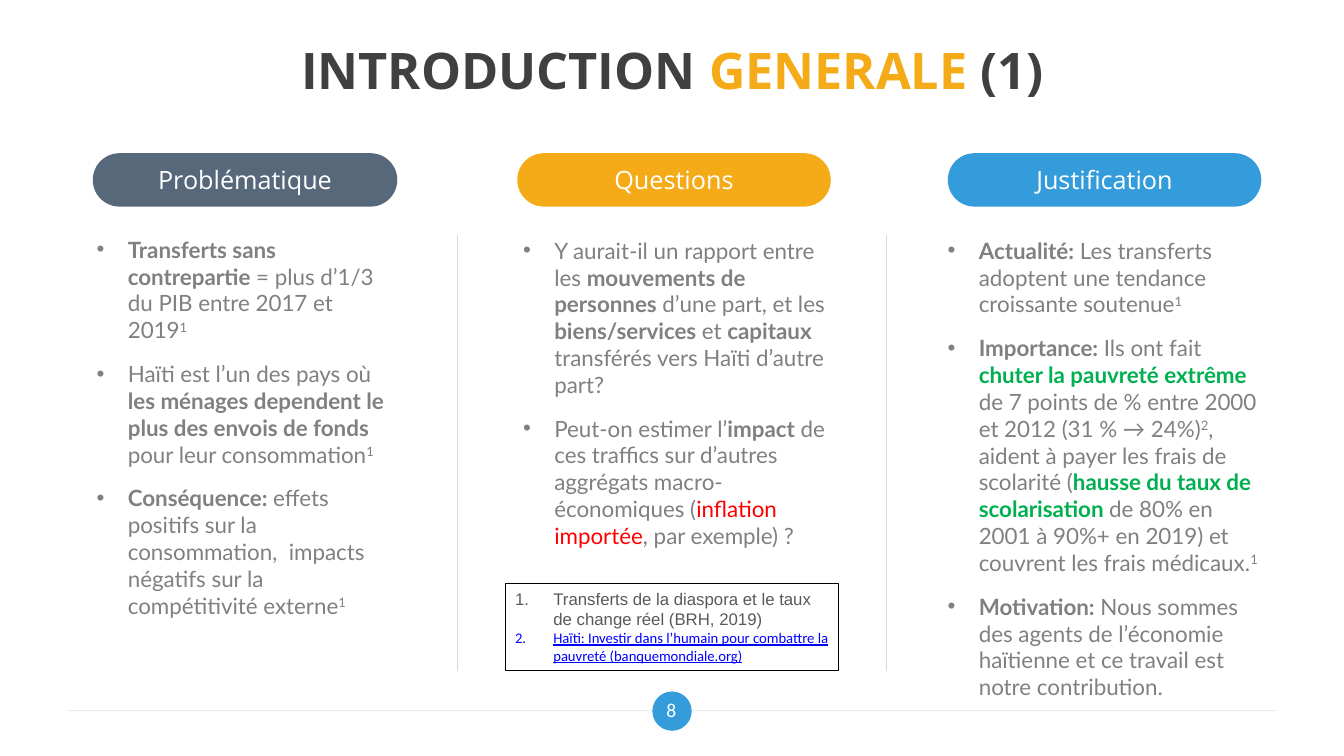
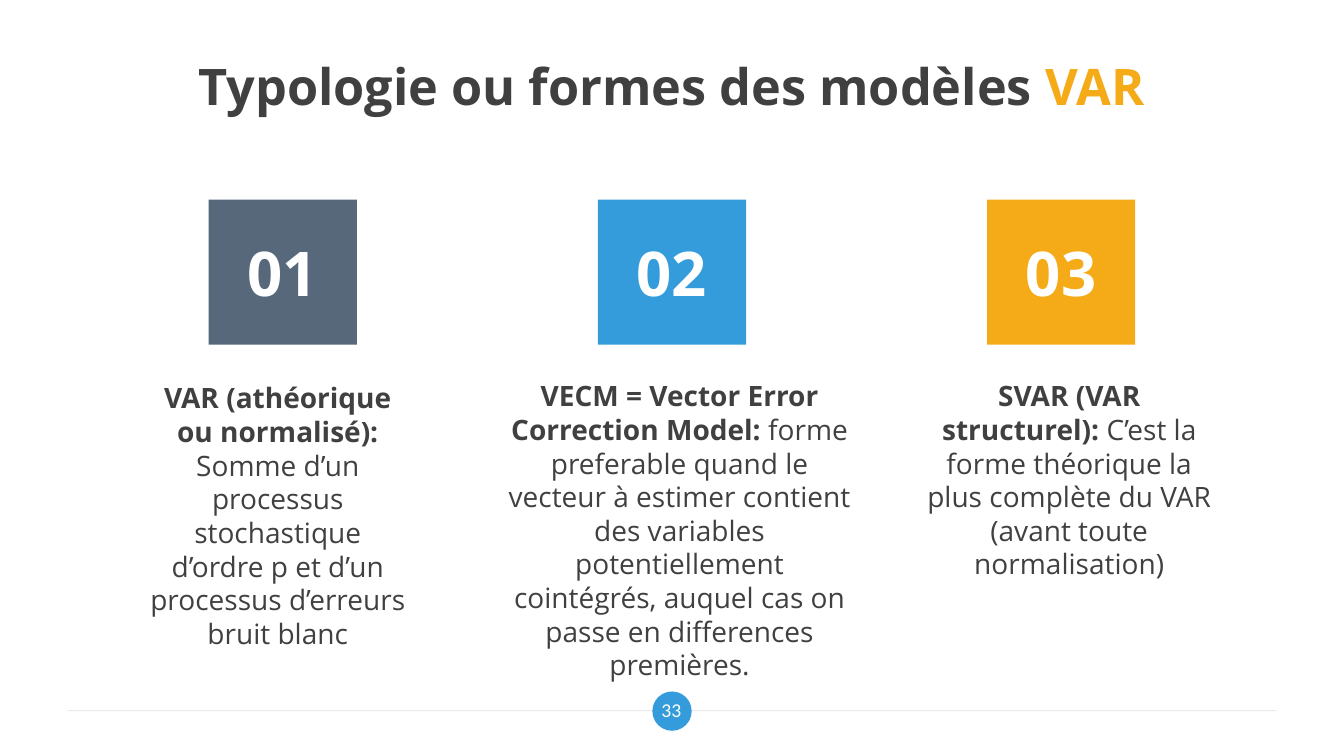
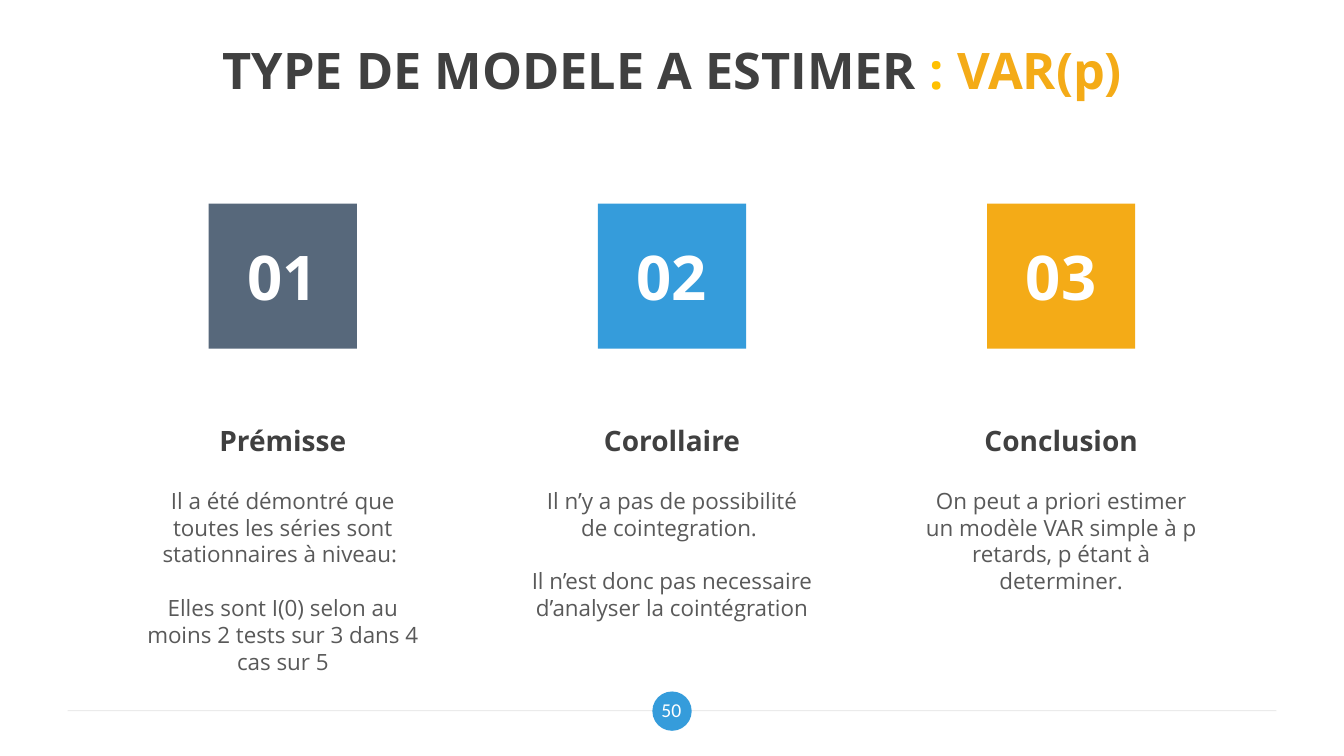
"""Build three slides on remittances to Haiti and the VAR models used to study them."""
from dataclasses import dataclass, replace
from typing import Optional

from lxml.etree import SubElement
from pptx import Presentation
from pptx.dml.color import RGBColor
from pptx.enum.shapes import MSO_CONNECTOR, MSO_SHAPE
from pptx.enum.text import MSO_ANCHOR, PP_ALIGN
from pptx.oxml.ns import qn
from pptx.util import Inches, Pt

SLATE = RGBColor(0x57, 0x68, 0x7B)
AMBER = RGBColor(0xF4, 0xAB, 0x17)
BLUE = RGBColor(0x35, 0x9C, 0xDB)
GOLD = RGBColor(0xFF, 0xC0, 0x00)
GREEN = RGBColor(0x00, 0xB0, 0x50)
RED = RGBColor(0xFF, 0x00, 0x00)
LINK_BLUE = RGBColor(0x00, 0x00, 0xFF)
WHITE = RGBColor(0xFF, 0xFF, 0xFF)
BLACK = RGBColor(0x00, 0x00, 0x00)
DARK = RGBColor(0x40, 0x40, 0x40)
MEDIUM = RGBColor(0x59, 0x59, 0x59)
GREY = RGBColor(0x80, 0x80, 0x80)
RULE = RGBColor(0xD9, 0xD9, 0xD9)


@dataclass(frozen=True)
class Style:
    font: str
    size: float
    color: RGBColor
    bold: bool = False
    underline: bool = False
    raised: bool = False


@dataclass(frozen=True)
class Span:
    text: str
    style: Style


@dataclass(frozen=True)
class Box:
    left: float
    top: float
    width: float
    height: float


@dataclass(frozen=True)
class ListFormat:
    tag: str
    attribute: str
    value: str
    indent: float


Line = tuple[Span, ...]

TITLE = Style("Open Sans", 36, DARK, bold=True)
TITLE_AMBER = replace(TITLE, color=AMBER)
TITLE_GOLD = replace(TITLE, color=GOLD)
PAGE_NUMBER = Style("Calibri", 14, WHITE)
PILL = Style("Open Sans", 18, WHITE)
TILE = Style("Open Sans", 44, WHITE, bold=True)
BODY = Style("Lato", 16, GREY)
BODY_BOLD = replace(BODY, bold=True)
BODY_RAISED = replace(BODY, raised=True)
BODY_RED = replace(BODY, color=RED)
BODY_GREEN = replace(BODY_BOLD, color=GREEN)
SOURCE = Style("Arial", 12, MEDIUM)
SOURCE_LINK = Style("Calibri", 10.5, LINK_BLUE, underline=True)
HEADING = Style("Open Sans", 20, DARK, bold=True)
DEFINITION = replace(HEADING, bold=False)
DETAIL = Style("Open Sans", 16, MEDIUM)

BULLETS = ListFormat("a:buChar", "char", "•", 0.31)
NUMBERS = ListFormat("a:buAutoNum", "type", "arabicPeriod", 0.38)

TITLE_BOX = Box(0.67, 0.3, 12, 0.78)
TILE_LEFT, TILE_STEP = 2.07, 3.86
TILE_COLORS = (SLATE, BLUE, AMBER)


def write_text(shape, lines: tuple[Line, ...], align=PP_ALIGN.LEFT,
               anchor=MSO_ANCHOR.TOP, margins: tuple[float, float] = (0.1, 0.05),
               list_format: Optional[ListFormat] = None,
               before: float = 0, after: float = 0) -> None:
    frame = shape.text_frame
    frame.word_wrap = True
    frame.vertical_anchor = anchor
    frame.margin_left = frame.margin_right = Inches(margins[0])
    frame.margin_top = frame.margin_bottom = Inches(margins[1])
    for index, line in enumerate(lines):
        paragraph = frame.add_paragraph() if index else frame.paragraphs[0]
        paragraph.alignment = align
        paragraph.space_before = Pt(before if index else 0)
        paragraph.space_after = Pt(after)
        if list_format:
            add_list_marker(paragraph, list_format)
        for span in line:
            add_run(paragraph, span)


def add_list_marker(paragraph, list_format: ListFormat) -> None:
    properties = paragraph._p.get_or_add_pPr()
    properties.set("marL", str(Inches(list_format.indent)))
    properties.set("indent", str(-Inches(list_format.indent)))
    SubElement(properties, qn("a:buFont")).set("typeface", "Arial")
    SubElement(properties, qn(list_format.tag)).set(list_format.attribute, list_format.value)


def add_run(paragraph, span: Span) -> None:
    run = paragraph.add_run()
    run.text = span.text
    style = span.style
    run.font.name = style.font
    run.font.size = Pt(style.size)
    run.font.bold = style.bold
    run.font.color.rgb = style.color
    if style.underline:
        run.font.underline = True
    if style.raised:
        run._r.get_or_add_rPr().set("baseline", "30000")


def place(box: Box) -> tuple:
    return Inches(box.left), Inches(box.top), Inches(box.width), Inches(box.height)


def add_text(slide, box: Box, lines: tuple[Line, ...], **options) -> None:
    write_text(slide.shapes.add_textbox(*place(box)), lines, **options)


def add_filled(slide, kind, box: Box, color: RGBColor, label: Optional[Span] = None):
    shape = slide.shapes.add_shape(kind, *place(box))
    shape.shadow.inherit = False
    shape.fill.solid()
    shape.fill.fore_color.rgb = color
    shape.line.fill.background()
    if label:
        write_text(shape, ((label,),), align=PP_ALIGN.CENTER, anchor=MSO_ANCHOR.MIDDLE)
    return shape


def add_rule(slide, start: tuple[float, float], end: tuple[float, float],
             opacity: int = 100) -> None:
    connector = slide.shapes.add_connector(
        MSO_CONNECTOR.STRAIGHT, *(Inches(value) for value in start + end))
    connector.line.color.rgb = RULE
    connector.line.width = Pt(0.75)
    properties = connector._element.spPr
    if opacity < 100:
        color = properties.find(".//" + qn("a:srgbClr"))
        SubElement(color, qn("a:alpha")).set("val", str(opacity * 1000))
    SubElement(properties, qn("a:effectLst"))


def add_base_slide(presentation, title: Line, page: str, title_box: Box = TITLE_BOX):
    slide = presentation.slides.add_slide(presentation.slide_layouts[6])
    centred = {"align": PP_ALIGN.CENTER, "anchor": MSO_ANCHOR.MIDDLE, "margins": (0.13, 0.07)}
    add_rule(slide, (0.67, 7.05), (12.66, 7.05), opacity=50)
    add_filled(slide, MSO_SHAPE.OVAL, Box(6.47, 6.86, 0.39, 0.39), BLUE)
    add_text(slide, title_box, (title,), **centred)
    add_text(slide, Box(6.38, 6.83, 0.56, 0.42), ((Span(page, PAGE_NUMBER),),), **centred)
    return slide


def add_tiles(slide, top: float) -> None:
    for index, color in enumerate(TILE_COLORS):
        box = Box(TILE_LEFT + index * TILE_STEP, top, 1.47, 1.44)
        add_filled(slide, MSO_SHAPE.RECTANGLE, box, color, Span(f"{index + 1:02}", TILE))


def build_introduction(presentation) -> None:
    title = (Span("INTRODUCTION ", TITLE), Span("GENERALE ", TITLE_AMBER), Span("(1)", TITLE))
    slide = add_base_slide(presentation, title, "8")
    problem = (
        (Span("Transferts sans contrepartie ", BODY_BOLD),
         Span("= plus d’1/3 du PIB entre 2017 et 2019", BODY), Span("1", BODY_RAISED)),
        (Span("Haïti est l’un des pays où ", BODY),
         Span("les ménages dependent le plus des envois de fonds ", BODY_BOLD),
         Span("pour leur consommation", BODY), Span("1", BODY_RAISED)),
        (Span("Conséquence: ", BODY_BOLD),
         Span("effets positifs sur la consommation,  impacts négatifs sur la "
              "compétitivité externe", BODY), Span("1", BODY_RAISED)),
    )
    questions = (
        (Span("Y aurait-il un rapport entre les ", BODY),
         Span("mouvements de personnes ", BODY_BOLD), Span("d’une part, et les ", BODY),
         Span("biens/services ", BODY_BOLD), Span("et ", BODY), Span("capitaux ", BODY_BOLD),
         Span("transférés vers Haïti d’autre part?", BODY)),
        (Span("Peut-on estimer l’", BODY), Span("impact", BODY_BOLD),
         Span(" de ces traffics sur d’autres aggrégats macro-économiques (", BODY),
         Span("inflation importée", BODY_RED), Span(", par exemple) ?", BODY)),
    )
    reasons = (
        (Span("Actualité:", BODY_BOLD),
         Span(" Les transferts adoptent une tendance croissante soutenue", BODY),
         Span("1", BODY_RAISED)),
        (Span("Importance: ", BODY_BOLD), Span("Ils ont fait ", BODY),
         Span("chuter la pauvreté extrême ", BODY_GREEN),
         Span("de 7 points de % entre 2000 et 2012 (31 % → 24%)", BODY),
         Span("2", BODY_RAISED), Span(", aident à payer les frais de scolarité (", BODY),
         Span("hausse du taux de scolarisation ", BODY_GREEN),
         Span("de 80% en 2001 à 90%+ en 2019) et couvrent les frais médicaux.", BODY),
         Span("1", BODY_RAISED)),
        (Span("Motivation: ", BODY_BOLD),
         Span("Nous sommes des agents de l’économie haïtienne et ce travail est "
              "notre contribution.", BODY)),
    )
    columns = (
        ("Problématique", SLATE, Box(0.92, 1.52, 3.02, 0.53), Box(0.86, 2.29, 3.12, 3.94), problem),
        ("Questions", AMBER, Box(5.13, 1.52, 3.11, 0.53), Box(5.09, 2.3, 3.23, 3.67), questions),
        ("Justification", BLUE, Box(9.4, 1.52, 3.11, 0.53), Box(9.3, 2.3, 3.37, 4.75), reasons),
    )
    for heading, color, pill_box, body_box, lines in columns:
        pill = add_filled(slide, MSO_SHAPE.ROUNDED_RECTANGLE, pill_box, color, Span(heading, PILL))
        pill.adjustments[0] = 0.5
        add_text(slide, body_box, lines, list_format=BULLETS, after=12)
    for left in (4.54, 8.79):
        add_rule(slide, (left, 2.33), (left, 6.66))
    add_sources(slide)


def add_sources(slide) -> None:
    frame = slide.shapes.add_shape(MSO_SHAPE.RECTANGLE, *place(Box(5.01, 5.79, 3.31, 0.86)))
    frame.shadow.inherit = False
    frame.fill.background()
    frame.line.color.rgb = BLACK
    frame.line.width = Pt(0.75)
    sources = (
        (Span("Transferts de la diaspora et le taux de change réel (BRH, 2019)", SOURCE),),
        (Span("Haïti: Investir dans l’humain pour combattre la pauvreté "
              "(banquemondiale.org)", SOURCE_LINK),),
    )
    write_text(frame, sources, list_format=NUMBERS)


def build_typology(presentation) -> None:
    title = (Span("Typologie ou formes des modèles ", TITLE), Span("VAR", TITLE_AMBER))
    slide = add_base_slide(presentation, title, "33", Box(0.33, 0.46, 12.66, 0.78))
    add_tiles(slide, 1.98)
    models = (
        (Box(1.36, 3.73, 2.79, 2.79), "VAR (athéorique ou normalisé): ",
         "Somme d’un processus stochastique d’ordre p et d’un processus d’erreurs bruit blanc"),
        (Box(4.93, 3.71, 3.62, 3.13), "VECM = Vector Error Correction Model: ",
         "forme preferable quand le vecteur à estimer contient des variables potentiellement "
         "cointégrés, auquel cas on passe en differences premières."),
        (Box(9.03, 3.71, 3.15, 2.12), "SVAR (VAR structurel): ",
         "C’est la forme théorique la plus complète du VAR (avant toute normalisation)"),
    )
    for box, name, definition in models:
        line = (Span(name, HEADING), Span(definition, DEFINITION))
        add_text(slide, box, (line,), align=PP_ALIGN.CENTER)


def build_model_choice(presentation) -> None:
    title = (Span("TYPE DE MODELE A ESTIMER ", TITLE), Span(": ", TITLE_GOLD),
             Span("VAR(p)", TITLE_AMBER))
    slide = add_base_slide(presentation, title, "50")
    add_tiles(slide, 2.02)
    steps = (
        ("Prémisse", 1.99, (
            "Il a été démontré que toutes les séries sont stationnaires à niveau: ",
            "Elles sont I(0) selon au moins 2 tests sur 3 dans 4 cas sur 5")),
        ("Corollaire", 1.45, (
            "Il n’y a pas de possibilité de cointegration. ",
            "Il n’est donc pas necessaire d’analyser la cointégration")),
        ("Conclusion", 1.18, (
            "On peut a priori estimer un modèle VAR simple à p retards, p étant à determiner.",)),
    )
    for index, (heading, height, details) in enumerate(steps):
        left = 1.31 + index * TILE_STEP
        add_text(slide, Box(left, 4.15, 2.99, 0.44), ((Span(heading, HEADING),),),
                 align=PP_ALIGN.CENTER)
        add_text(slide, Box(left, 4.78, 2.99, height),
                 tuple((Span(detail, DETAIL),) for detail in details),
                 align=PP_ALIGN.CENTER, before=19.3)


def main() -> None:
    presentation = Presentation()
    presentation.slide_width = Inches(13.33)
    presentation.slide_height = Inches(7.5)
    build_introduction(presentation)
    build_typology(presentation)
    build_model_choice(presentation)
    presentation.save("out.pptx")


if __name__ == "__main__":
    main()
